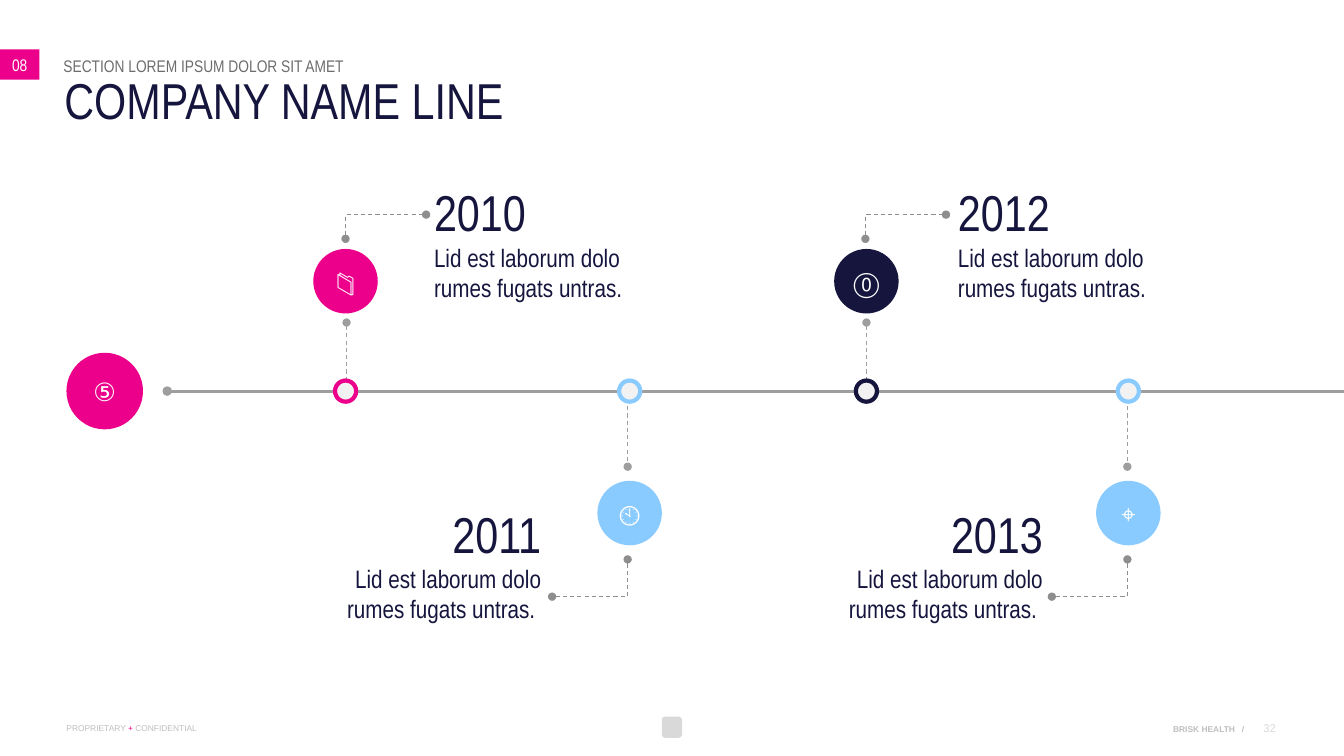
from lxml import etree
from pptx import Presentation
from pptx.dml.color import RGBColor
from pptx.enum.dml import MSO_LINE
from pptx.enum.shapes import MSO_CONNECTOR as LINK, MSO_SHAPE as SHAPE
from pptx.enum.text import MSO_ANCHOR as ANCHOR, PP_ALIGN as ALIGN
from pptx.oxml.ns import qn
from pptx.util import Inches, Pt

PINK, NAVY, SKY = "EC008B", "16153E", "89CBFF"
WHITE, PALE, GREY, DARK = "FFFFFF", "BFBFBF", "9E9E9E", "8E8E8E"
NARROW = "Arial Narrow"
BLURB = "Lid est laborum dolo rumes fugats untras."


def color(code):
    return RGBColor.from_string(code)


def add_run(para, text, size, code, font=NARROW, bold=False):
    run = para.add_run()
    run.text = text
    run.font.size, run.font.name, run.font.bold = Pt(size), font, bold
    run.font.color.rgb = color(code)


def set_frame(frame, insets, anchor=ANCHOR.TOP):
    frame.word_wrap = True
    frame.vertical_anchor = anchor
    (frame.margin_left, frame.margin_top,
     frame.margin_right, frame.margin_bottom) = map(Inches, insets)


def add_text(slide, box, insets=(0, 0, 0, 0)):
    frame = slide.shapes.add_textbox(*map(Inches, box)).text_frame
    set_frame(frame, insets)
    return frame


def add_solid(slide, kind, box, fill, edge=None):
    shape = slide.shapes.add_shape(kind, *map(Inches, box))
    shape.shadow.inherit = False
    shape.fill.solid()
    shape.fill.fore_color.rgb = color(fill)
    if edge:
        shape.line.color.rgb = color(edge)
        shape.line.width = Pt(3)
    else:
        shape.line.fill.background()
    return shape


def add_disc(slide, x, y, size, fill, icon=None, edge=None):
    """Circle centred on x, y, with an icon if one is given."""
    box = (x - size / 2, y - size / 2, size, size)
    shape = add_solid(slide, SHAPE.OVAL, box, fill, edge)
    if icon:
        set_frame(shape.text_frame, (0.1, 0.05, 0.1, 0.05), ANCHOR.MIDDLE)
        para = shape.text_frame.paragraphs[0]
        para.alignment = ALIGN.CENTER
        add_run(para, icon, 18, WHITE)


def add_link(slide, start, end, code, width=0.75, dash=True,
             ends=("headEnd",), bend=None):
    """Line with round ends; bend is the elbow's place from 0 to 1."""
    kind = LINK.STRAIGHT if bend is None else LINK.ELBOW
    link = slide.shapes.add_connector(kind, *map(Inches, start + end))
    link.line.color.rgb = color(code)
    link.line.width = Pt(width)
    if dash:
        link.line.dash_style = MSO_LINE.DASH
    props = link._element.spPr
    for name in ends:
        etree.SubElement(link.line._get_or_add_ln(), qn("a:" + name), type="oval")
    etree.SubElement(props, qn("a:effectLst"))
    if bend is not None:
        geom = props.find(qn("a:prstGeom"))
        guides = geom.find(qn("a:avLst"))
        if guides is None:
            guides = etree.SubElement(geom, qn("a:avLst"))
        etree.SubElement(guides, qn("a:gd"), name="adj1",
                         fmla=f"val {int(bend * 100000)}")


def add_header(slide, x, y):
    tag = add_solid(slide, SHAPE.RECTANGLE, (x, y, 0.39, 0.3), PINK)
    set_frame(tag.text_frame, (0.12, 0.05, 0, 0.05), ANCHOR.MIDDLE)
    para = tag.text_frame.paragraphs[0]
    para.alignment = ALIGN.LEFT
    add_run(para, "08", 12, WHITE)
    section = add_text(slide, (x + 0.63, y + 0.06, 8.69, 0.2))
    add_run(section.paragraphs[0], "SECTION LOREM IPSUM DOLOR SIT AMET", 12, "6D6D6D")
    title = add_text(slide, (x + 0.64, y + 0.31, 12, 0.5)).paragraphs[0]
    title.line_spacing = 0.8
    add_run(title, "COMPANY NAME LINE", 36, NAVY)


def add_event(slide, x, stem, axis, above, year, icon, code, left):
    """Milestone at x on the axis, its text box starting at left."""
    if above:
        disc, top = axis - 1.09, axis - 2.13
        add_link(slide, (stem, axis - 0.68), (stem, axis - 0.08), GREY)
        start, end, bend = (stem - 0.01, axis - 1.51), (stem + 0.79, axis - 1.75), 0
    else:
        disc, top = axis + 1.21, axis + 1.06
        add_link(slide, (stem, axis + 0.15), (stem, axis + 0.75), GREY,
                 ends=("tailEnd",))
        start, end, bend = (stem - 0.75, axis + 2.04), (stem, axis + 1.67), 1
    add_disc(slide, x, axis, 0.21, "F2F2F2", edge=code)
    add_disc(slide, x, disc, 0.64, code, icon)
    frame = add_text(slide, (left, top, 2.23, 1.31), (0.1, 0.05, 0.1, 0.05))
    blurb = BLURB if above else BLURB + " "
    for para, text, size in ((frame.paragraphs[0], year, 36),
                             (frame.add_paragraph(), blurb, 18)):
        para.alignment = ALIGN.LEFT if above else ALIGN.RIGHT
        add_run(para, text, size, NAVY)
    add_link(slide, start, end, DARK, ends=("headEnd", "tailEnd"), bend=bend)


def add_timeline(slide, x, axis, right):
    add_disc(slide, x + 0.38, axis, 0.76, PINK, "⑤")
    add_link(slide, (x + 1, axis), (right, axis), GREY, 2.25, dash=False)
    for event in ((3.43, 3.44, True, "2010", "📁", PINK, 4.21),
                  (6.25, 6.23, False, "2011", "🕙", SKY, 3.24),
                  (8.6, 8.6, True, "2012", "⓪", NAVY, 9.41),
                  (11.2, 11.19, False, "2013", "⌖", SKY, 8.22)):
        mid, stem, *rest, left = event
        add_event(slide, mid, stem, axis, *rest, left)


def add_footer(slide, x, y):
    note = add_text(slide, (x, y, 1.6, 0.1), (0.13, 0, 0, 0)).paragraphs[0]
    for text, code in (("PROPRIETARY ", PALE), ("+", PINK), (" CONFIDENTIAL", PALE)):
        add_run(note, text, 6, code, "Arial")
    add_solid(slide, SHAPE.ROUNDED_RECTANGLE, (x + 6.04, y - 0.06, 0.2, 0.21), "D9D9D9")
    owner = add_text(slide, (x + 10.43, y + 0.01, 1.52, 0.1), (0.13, 0, 0.13, 0))
    owner.paragraphs[0].alignment = ALIGN.RIGHT
    add_run(owner.paragraphs[0], "BRISK HEALTH   /", 6, PALE, "Arial", True)
    page = add_text(slide, (x + 12.01, y - 0.01, 0.4, 0.14))
    add_run(page.paragraphs[0], "32", 8, "D9D9D9", "Arial")


def main():
    deck = Presentation()
    deck.slide_width, deck.slide_height = Inches(13.34), Inches(7.5)
    slide = deck.slides.add_slide(deck.slide_layouts[6])
    add_footer(slide, 0.53, 7.17)
    add_header(slide, 0, 0.49)
    add_timeline(slide, 0.66, 3.88, 13.34)
    deck.save("out.pptx")


if __name__ == "__main__":
    main()
